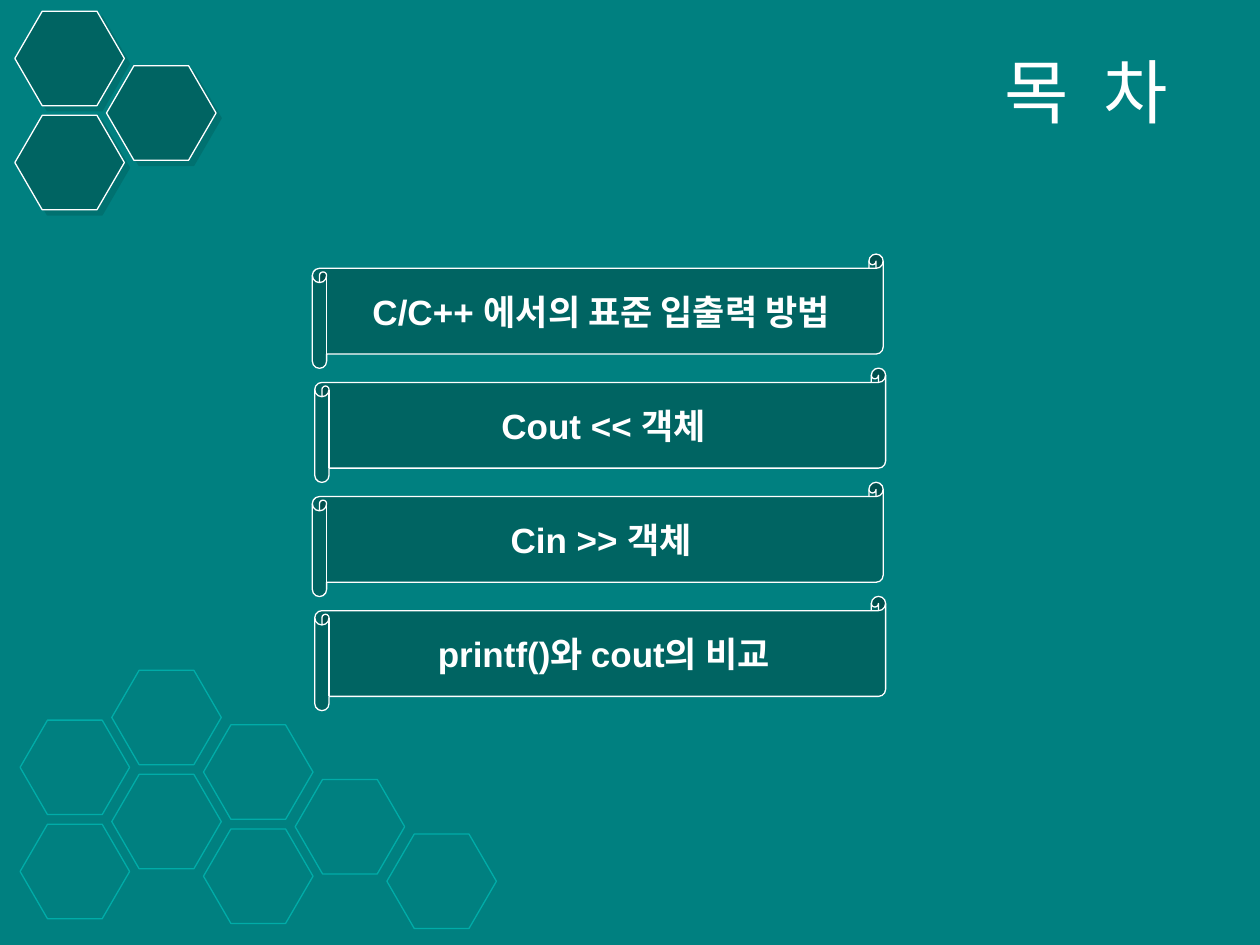
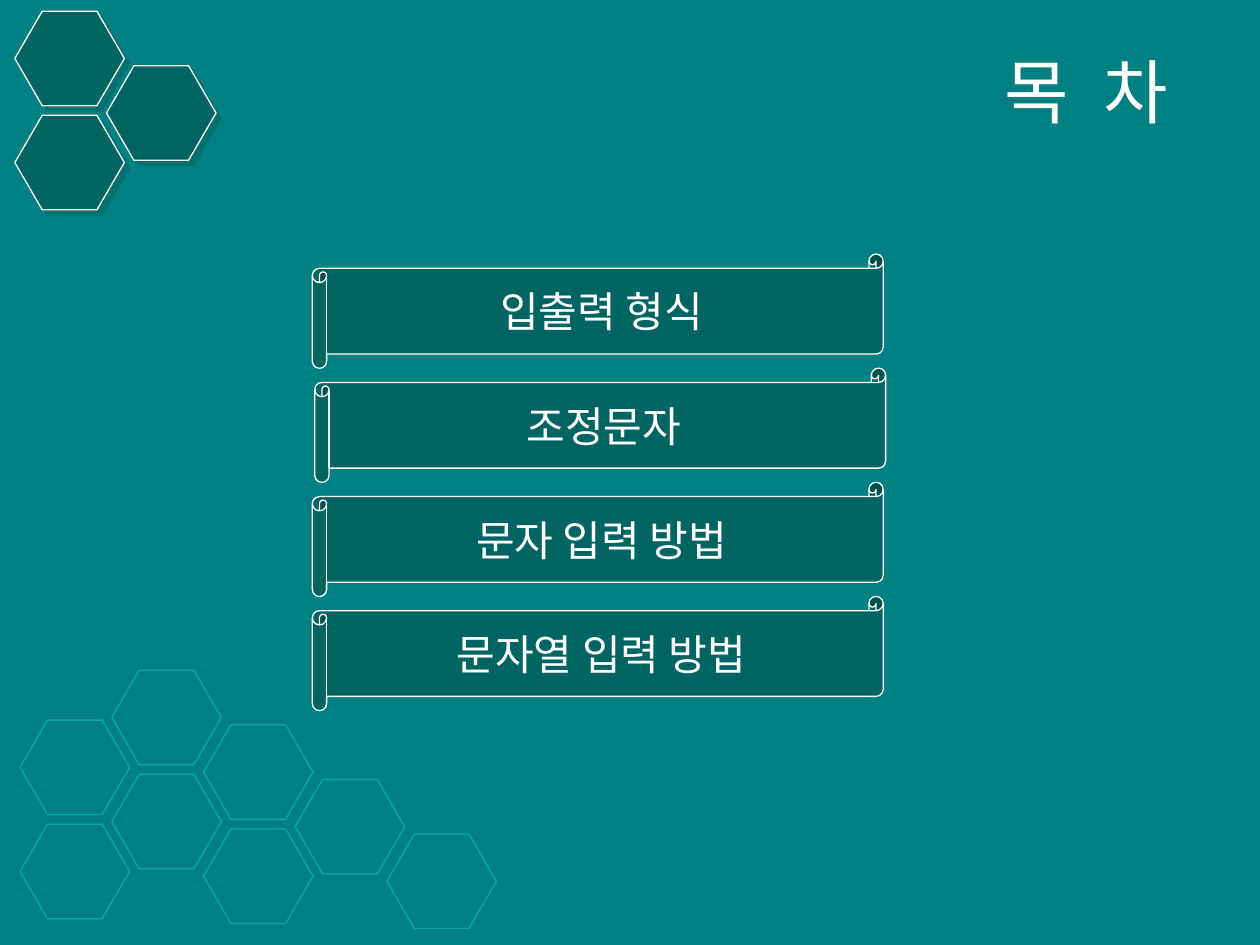
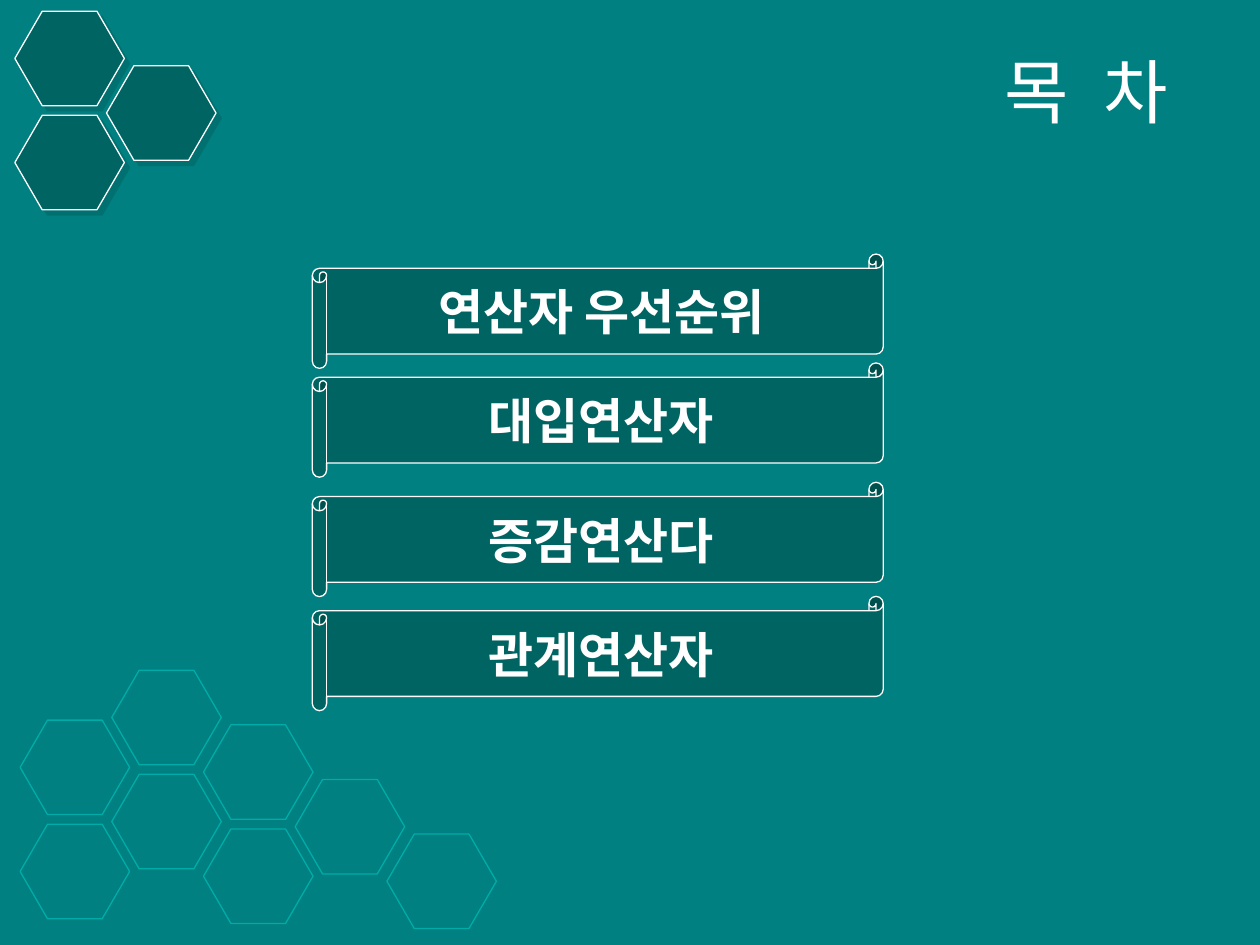
"""Builds three contents slides with hexagon decoration and scroll banners."""
from dataclasses import dataclass

from lxml import etree
from pptx import Presentation
from pptx import util as u
from pptx.dml.color import RGBColor
from pptx.enum import shapes, text
from pptx.oxml import ns

TEAL = RGBColor(0x00, 0x80, 0x80)
DARK_TEAL = RGBColor(0x00, 0x64, 0x62)
BRIGHT_TEAL = RGBColor(0x00, 0xAC, 0xA8)
WHITE = RGBColor(0xFF, 0xFF, 0xFF)

LATIN_FONT = "Arial"
KOREAN_FONT = "Noto Sans CJK KR"
LINE_WIDTH = u.Pt(0.75)
TITLE = "목 차"
TITLE_SIZE = 40
TITLE_SPACE_TRACKING = u.Pt(11)

HEXAGON_WIDTH, HEXAGON_HEIGHT = u.Pt(62.6), u.Pt(54)
HEXAGON_COLUMN_STEP, HEXAGON_ROW_STEP = u.Pt(52.4), u.Pt(59.5)
SHADOW_DISTANCE = u.Pt(4.2)
SHADOW_ANGLE = 45

SCROLL_LEFT, SCROLL_TOP = u.Pt(178.5), u.Pt(145.2)
SCROLL_WIDTH, SCROLL_HEIGHT = u.Pt(326.2), u.Pt(65.3)
SCROLL_STEP = u.Pt(65.2)


@dataclass(frozen=True)
class HexagonColumn:
    index: int
    top: float
    count: int


@dataclass(frozen=True)
class Honeycomb:
    left: float
    columns: tuple[HexagonColumn, ...]
    solid: bool


@dataclass(frozen=True)
class Scroll:
    label: str
    shift_right: float = 0
    shift_down: float = 0


@dataclass(frozen=True)
class Contents:
    scrolls: tuple[Scroll, ...]
    font_name: str
    size: float
    bold: bool


HONEYCOMBS = (
    Honeycomb(
        11.5,
        (
            HexagonColumn(0, 411.5, 2),
            HexagonColumn(1, 383, 2),
            HexagonColumn(2, 414.2, 2),
            HexagonColumn(3, 445.4, 1),
            HexagonColumn(4, 476.6, 1),
        ),
        solid=False,
    ),
    Honeycomb(8.5, (HexagonColumn(0, 6.4, 2), HexagonColumn(1, 37.6, 1)), solid=True),
)

SLIDES = (
    Contents(
        (
            Scroll("C/C++ 에서의 표준 입출력 방법"),
            Scroll("Cout << 객체", shift_right=1.4),
            Scroll("Cin >> 객체"),
            Scroll("printf()와 cout의 비교", shift_right=1.4),
        ),
        LATIN_FONT, 20, True,
    ),
    Contents(
        (
            Scroll("입출력 형식"),
            Scroll("조정문자", shift_right=1.4),
            Scroll("문자 입력 방법"),
            Scroll("문자열 입력 방법"),
        ),
        KOREAN_FONT, 24, False,
    ),
    Contents(
        (
            Scroll("연산자 우선순위"),
            Scroll("대입연산자", shift_down=-3),
            Scroll("증감연산다"),
            Scroll("관계연산자"),
        ),
        KOREAN_FONT, 28, True,
    ),
)


def format_run(run, font_name: str, size: float, bold: bool) -> None:
    font = run.font
    font.name, font.size, font.bold = font_name, u.Pt(size), bold
    font.color.rgb = WHITE
    etree.SubElement(run._r.get_or_add_rPr(), ns.qn("a:ea"), typeface=KOREAN_FONT)


def add_outlined_shape(slide, kind, left: int, top: int, width: int, height: int, line: RGBColor):
    shape = slide.shapes.add_shape(kind, left, top, width, height)
    shape.shadow.inherit = False
    shape.line.color.rgb = line
    shape.line.width = LINE_WIDTH
    return shape


def add_shadow(shape) -> None:
    effects = shape._element.spPr.find(ns.qn("a:effectLst"))
    shadow = etree.SubElement(
        effects, ns.qn("a:outerShdw"), dist=str(SHADOW_DISTANCE),
        dir=str(SHADOW_ANGLE * 60000), algn="ctr", rotWithShape="0",
    )
    color = etree.SubElement(shadow, ns.qn("a:srgbClr"), val=str(DARK_TEAL))
    etree.SubElement(color, ns.qn("a:alpha"), val="50000")


def add_honeycomb(slide, honeycomb: Honeycomb) -> None:
    for column in honeycomb.columns:
        left = u.Pt(honeycomb.left) + column.index * HEXAGON_COLUMN_STEP
        for row in reversed(range(column.count)):
            hexagon = add_outlined_shape(
                slide, shapes.MSO_SHAPE.HEXAGON,
                left, u.Pt(column.top) + row * HEXAGON_ROW_STEP,
                HEXAGON_WIDTH, HEXAGON_HEIGHT,
                WHITE if honeycomb.solid else BRIGHT_TEAL,
            )
            hexagon.adjustments[0] = 0.29
            if honeycomb.solid:
                hexagon.fill.solid()
                hexagon.fill.fore_color.rgb = DARK_TEAL
                add_shadow(hexagon)
            else:
                hexagon.fill.background()


def set_title(slide) -> None:
    title = slide.shapes.title
    title.left, title.top = u.Pt(133.2), u.Pt(20.2)
    title.width, title.height = u.Pt(541.4), u.Pt(62.6)
    frame = title.text_frame
    frame.auto_size = text.MSO_AUTO_SIZE.NONE
    frame.vertical_anchor = text.MSO_ANCHOR.MIDDLE
    paragraph = frame.paragraphs[0]
    paragraph.alignment = text.PP_ALIGN.RIGHT
    for character in TITLE:
        run = paragraph.add_run()
        run.text = character
        format_run(run, LATIN_FONT, TITLE_SIZE, False)
        if character == " ":
            run._r.get_or_add_rPr().set("spc", str(int(TITLE_SPACE_TRACKING.pt * 100)))


def add_scroll(slide, scroll: Scroll, row: int, contents: Contents) -> None:
    shape = add_outlined_shape(
        slide, shapes.MSO_SHAPE.HORIZONTAL_SCROLL,
        SCROLL_LEFT + u.Pt(scroll.shift_right),
        SCROLL_TOP + row * SCROLL_STEP + u.Pt(scroll.shift_down),
        SCROLL_WIDTH, SCROLL_HEIGHT, WHITE,
    )
    shape.fill.solid()
    shape.fill.fore_color.rgb = DARK_TEAL
    frame = shape.text_frame
    frame.text = scroll.label
    frame.vertical_anchor = text.MSO_ANCHOR.MIDDLE
    paragraph = frame.paragraphs[0]
    paragraph.alignment = text.PP_ALIGN.CENTER
    format_run(paragraph.runs[0], contents.font_name, contents.size, contents.bold)


def add_contents_slide(presentation, contents: Contents) -> None:
    slide = presentation.slides.add_slide(presentation.slide_layouts.get_by_name("Title Only"))
    for honeycomb in HONEYCOMBS:
        add_honeycomb(slide, honeycomb)
    set_title(slide)
    for row, scroll in enumerate(contents.scrolls):
        add_scroll(slide, scroll, row, contents)


def main() -> None:
    presentation = Presentation()
    presentation.slide_width, presentation.slide_height = u.Pt(720), u.Pt(540)
    background = presentation.slide_master.background.fill
    background.solid()
    background.fore_color.rgb = TEAL
    for contents in SLIDES:
        add_contents_slide(presentation, contents)
    presentation.save("out.pptx")


if __name__ == "__main__":
    main()
